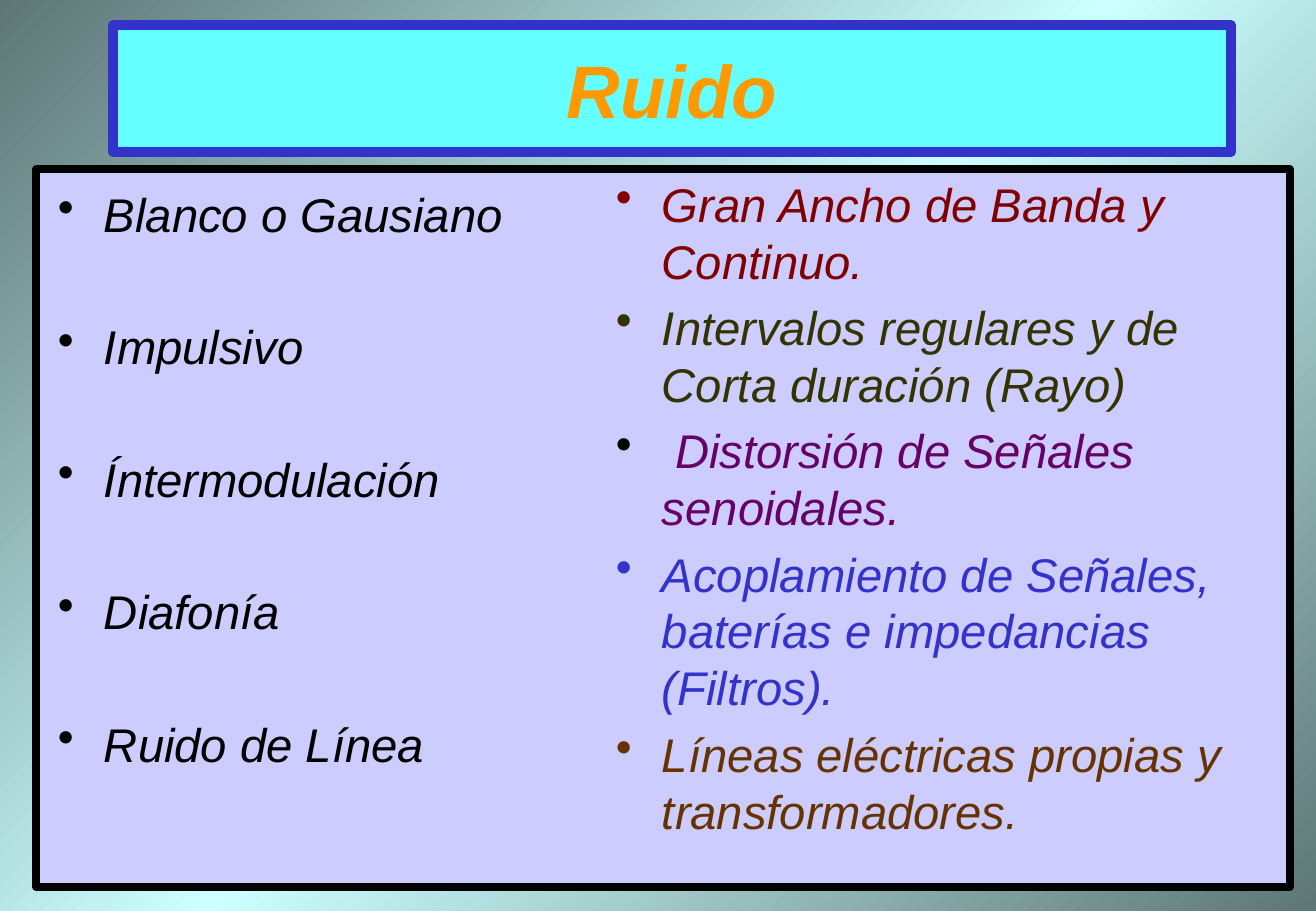
from copy import deepcopy
from pptx import Presentation
from pptx.dml.color import RGBColor as RGB
from pptx.enum.shapes import MSO_SHAPE as SHAPE
from pptx.enum.text import MSO_ANCHOR as ANCHOR, PP_ALIGN as ALIGN
from pptx.oxml.ns import qn
from pptx.util import Pt
from lxml import etree

PX = 7526
BLACK = RGB(0x00, 0x00, 0x00)
GRAY = RGB(0x5E, 0x76, 0x76)
PALE = RGB(0xCC, 0xFF, 0xFF)
LILAC = RGB(0xCC, 0xCC, 0xFF)
CYAN = RGB(0x66, 0xFF, 0xFF)
BLUE = RGB(0x33, 0x33, 0xCC)
ORANGE = RGB(0xFF, 0x99, 0x00)
RED = RGB(0x80, 0x00, 0x00)
OLIVE = RGB(0x33, 0x33, 0x00)
PURPLE = RGB(0x66, 0x00, 0x66)
BROWN = RGB(0x66, 0x33, 0x00)

prs = Presentation()
prs.slide_width, prs.slide_height = 1316 * PX, 911 * PX
slide = prs.slides.add_slide(prs.slide_layouts[6])


def add_run(para, text, size, color, bold=False):
    run = para.add_run()
    run.text = text
    look = {"name": "Arial", "size": Pt(size), "italic": True, "bold": bold}
    for key, value in look.items():
        setattr(run.font, key, value)
    run.font.color.rgb = color


# Background: diagonal gradient, pale in the middle
back = slide.background.fill
back.gradient()
back.gradient_angle = 315
stops = next(slide.element.iter(qn("a:gsLst")))
stops.append(deepcopy(stops[-1]))
for stop, pos, color in zip(back.gradient_stops, (0, 0.5, 1), (GRAY, PALE, GRAY)):
    stop.position = pos
    stop.color.rgb = color

# Panel and title frame
for box, fill, line, width in (
    ((36, 169, 1254, 718), LILAC, BLACK, 4.5),
    ((113, 25, 1118, 127), CYAN, BLUE, 6),
):
    frame = slide.shapes.add_shape(SHAPE.RECTANGLE, *(n * PX for n in box))
    frame.shadow.inherit = False
    frame.fill.solid()
    frame.fill.fore_color.rgb = fill
    frame.line.color.rgb = line
    frame.line.width = Pt(width)

frame.text_frame.vertical_anchor = ANCHOR.MIDDLE
title = frame.text_frame.paragraphs[0]
title.alignment = ALIGN.CENTER
add_run(title, "Ruido", 44, ORANGE, bold=True)

# Bullet lists: noise types on the left, their traits on the right
types = ["Blanco o Gausiano", "Impulsivo", "Íntermodulación", "Diafonía", "Ruido de Línea"]
traits = [
    [("Gran Ancho de Banda y Continuo.", RED)],
    [("Intervalos regulares y de Corta duración (Rayo)", OLIVE)],
    [(" ", BLACK), ("Distorsión de Señales senoidales.", PURPLE)],
    [("Acoplamiento de Señales, baterías e impedancias (Filtros).", BLUE)],
    [("Líneas eléctricas propias y transformadores.", BROWN)],
]
for box, gap, items in (
    ((46, 179, 548, 638), 44.8, [[(name, BLACK)] for name in types]),
    ((604, 169, 713, 719), 5.6, traits),
):
    frame = slide.shapes.add_textbox(*(n * PX for n in box)).text_frame
    frame.word_wrap = True
    for i, runs in enumerate(items):
        para = frame.add_paragraph() if i else frame.paragraphs[0]
        props = para._p.get_or_add_pPr()
        props.set("marL", str(46 * PX))
        props.set("indent", str(-46 * PX))
        etree.SubElement(props, qn("a:buChar")).set("char", "•")
        para.line_spacing = Pt(33.7)
        para.space_before = Pt(gap if i else 0)
        for text, color in runs:
            add_run(para, text, 28, color)

prs.save("out.pptx")
